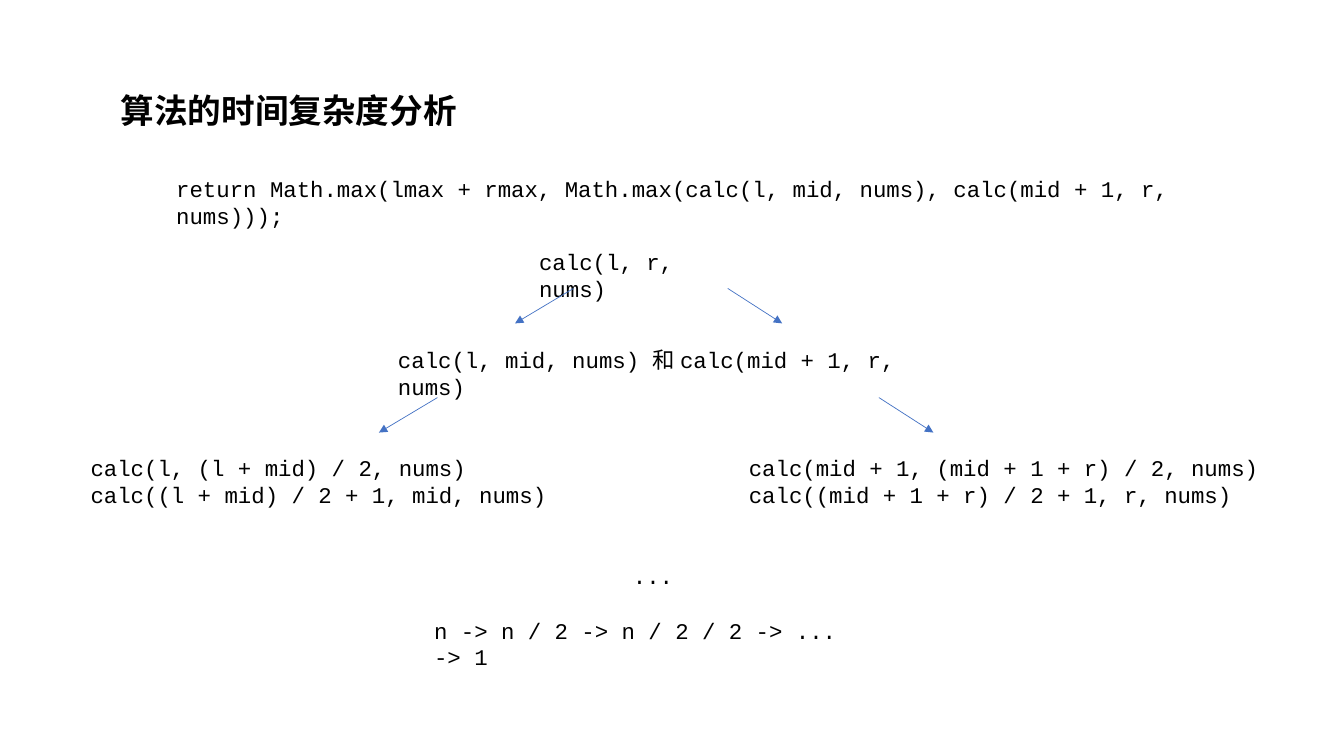
from lxml.etree import SubElement as Sub
from pptx import Presentation
from pptx.dml.color import RGBColor as Rgb
from pptx.enum.shapes import MSO_CONNECTOR as Link
from pptx.enum.text import MSO_ANCHOR as Anchor
from pptx.oxml.ns import qn
from pptx.util import Pt

CODE = "Courier New"
HAN = "Noto Sans CJK SC"


def color(code):
    return Rgb.from_string(code)


def write(frame, text, size=16, font=CODE, ink="000000", bold=False):
    """Fill a text frame, one paragraph per line of text."""
    for i, line in enumerate(text.split("\n")):
        par = frame.add_paragraph() if i else frame.paragraphs[0]
        run = par.add_run()
        run.text = line
        run.font.size = Pt(size)
        run.font.name = font
        run.font.bold = bold
        run.font.color.rgb = color(ink)
        # East Asian letters take their own typeface
        Sub(run.font._element, qn("a:ea"), typeface=HAN)


class Page:
    """The current slide and its line style."""
    blue = "4472C4"
    thin = 0.5

    def __init__(self, deck):
        self.slide = deck.slides.add_slide(deck.slide_layouts[6])

    def text(self, x, y, wide, high, text, **style):
        box = self.slide.shapes.add_textbox(Pt(x), Pt(y), Pt(wide), Pt(high))
        frame = box.text_frame
        frame.word_wrap = True
        frame.vertical_anchor = Anchor.TOP
        write(frame, text, **style)

    def arrow(self, x, y, dx, dy):
        line = self.slide.shapes.add_connector(
            Link.STRAIGHT, Pt(x), Pt(y), Pt(x + dx), Pt(y + dy))
        line.line.color.rgb = color(self.blue)
        line.line.width = Pt(self.thin)
        Sub(line.line._get_or_add_ln(), qn("a:tailEnd"), type="triangle")
        Sub(line._element.spPr, qn("a:effectLst"))


def main():
    deck = Presentation()
    deck.slide_width, deck.slide_height = Pt(960), Pt(540)
    page = Page(deck)
    one, two = 26.6, 46  # heights of one and two lines of code

    # Title
    page.text(79.2, 60.5, 375, 36, "算法的时间复杂度分析",
              size=24, font=HAN, bold=True)

    # Code line and the tree of calls
    page.text(118.8, 121.7, 740, one,
              "return Math.max(lmax + rmax, Math.max(calc(l, mid, nums), "
              "calc(mid + 1, r, nums)));")
    page.text(378, 173.5, 152.6, one, "calc(l, r, nums)")
    page.text(277.2, 244, 406, one,
              "calc(l, mid, nums) 和 calc(mid + 1, r, nums)")
    page.text(57.6, 321, 375, two,
              "calc(l, (l + mid) / 2, nums)\n"
              "calc((l + mid) / 2 + 1, mid, nums)")
    page.text(527.8, 321, 402.5, two,
              "calc(mid + 1, (mid + 1 + r) / 2, nums)\n"
              "calc((mid + 1 + r) / 2 + 1, r, nums)")

    # Arrows from each level to the next
    for left, right, y in ((409.7, 519.8, 206), (312.5, 627.8, 284)):
        page.arrow(left, y, -41.8, 25)
        page.arrow(right, y, 38.9, 25)

    # Halving down to one
    page.text(445, 398.2, 44, one, "...")
    page.text(303, 437, 327.6, one, "n -> n / 2 -> n / 2 / 2 -> ... -> 1")

    deck.save("out.pptx")


if __name__ == "__main__":
    main()
